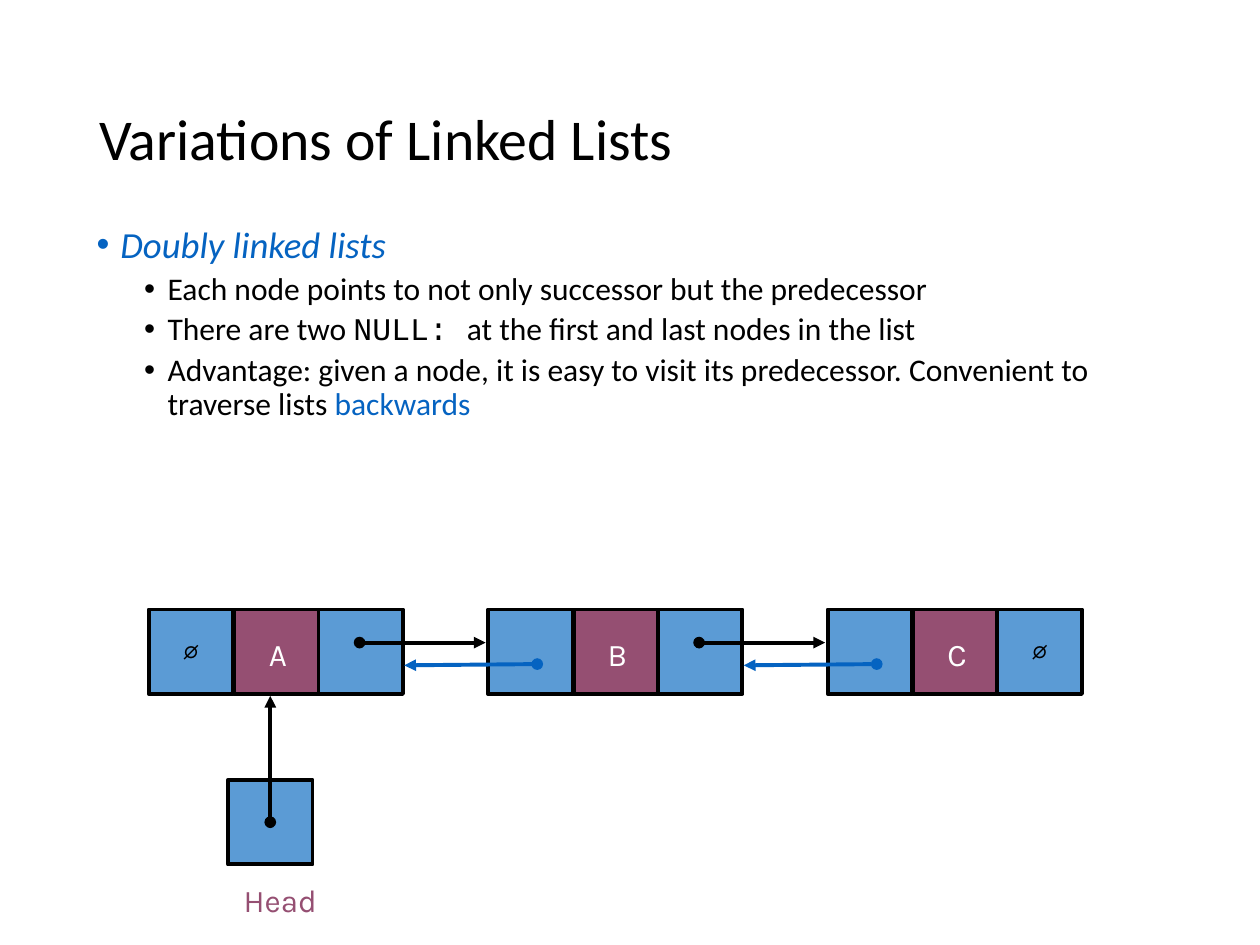
import pptx
import pptx.dml.color
import pptx.enum.shapes
import pptx.enum.text
import pptx.oxml.ns
import pptx.util
from lxml import etree

Pt = pptx.util.Pt
ALIGN = pptx.enum.text.PP_ALIGN
ANCHOR = pptx.enum.text.MSO_ANCHOR

BLACK, WHITE = "000000", "FFFFFF"
LINK_BLUE, CELL_BLUE, PLUM = "0563C1", "5B9BD5", "954F72"

TITLE = "Variations of Linked Lists"
# Each bullet: level, then spans of (text, format)
BULLETS = [
    (0, [("Doubly linked lists", {"color": LINK_BLUE, "italic": True})]),
    (1, [("Each node points to not only successor but the predecessor", {})]),
    (1, [("There are two ", {}),
         ("NULL: ", {"font": "Courier New"}),
         ("at the first and last nodes in the list", {})]),
    (1, [("Advantage: given a node, it is easy to visit its predecessor. "
          "Convenient to traverse lists ", {}),
         ("backwards", {"color": LINK_BLUE})]),
]
# Per level: font size, left margin, space before
LEVELS = [(21, 13.5, 7.5), (18, 40.5, 3.8)]
HANGING = 13.5

NODES = ["A", "B", "C"]
NULL_SIGN = "∅"
CELL = 48.3
CELL_OFFSETS = [0, 49, 97]
NODE_LEFT, NODE_TOP, NODE_PITCH = 85, 348.3, 194
NEXT_Y, PREVIOUS_Y = 367.2, 379.5
HEAD_LEFT, HEAD_TOP = 130.3, 445.7
LABEL_HEIGHT = 31

deck = pptx.Presentation()
deck.slide_width, deck.slide_height = Pt(720), Pt(540)
page = deck.slides.add_slide(deck.slide_layouts[6])


def rgb(value):
    return pptx.dml.color.RGBColor.from_string(value)


def add_span(para, text, size=18, font="Calibri", color=BLACK, italic=False):
    span = para.add_run()
    span.text = text
    span.font.size, span.font.name = Pt(size), font
    span.font.color.rgb, span.font.italic = rgb(color), italic


def add_box(left, top, width, height, wrap=True, anchor=ANCHOR.TOP):
    frame = page.shapes.add_textbox(
        Pt(left), Pt(top), Pt(width), Pt(height)).text_frame
    frame.word_wrap, frame.vertical_anchor = wrap, anchor
    return frame


def add_label(text, center, top, color):
    width = 60
    frame = add_box(center - width / 2, top, width, LABEL_HEIGHT, wrap=False)
    para = frame.paragraphs[0]
    para.alignment = ALIGN.CENTER
    add_span(para, text, font="Karla", color=color)


def add_cell(left, top, color):
    cell = page.shapes.add_shape(
        pptx.enum.shapes.MSO_SHAPE.RECTANGLE,
        Pt(left), Pt(top), Pt(CELL), Pt(CELL))
    cell.shadow.inherit = False
    cell.fill.solid()
    cell.fill.fore_color.rgb = rgb(color)
    cell.line.color.rgb, cell.line.width = rgb(BLACK), Pt(2.25)


def add_pointer(start, end, color=BLACK):
    """Draw a line with a dot at its start and an arrowhead at its end."""
    pointer = page.shapes.add_connector(
        pptx.enum.shapes.MSO_CONNECTOR.STRAIGHT,
        *(Pt(value) for value in (*start, *end)))
    pointer.line.color.rgb, pointer.line.width = rgb(color), Pt(2.25)
    qn = pptx.oxml.ns.qn
    outline = pointer.line._get_or_add_ln()
    etree.SubElement(outline, qn("a:headEnd"), type="oval")
    etree.SubElement(outline, qn("a:tailEnd"), type="triangle")
    etree.SubElement(pointer._element.spPr, qn("a:effectLst"))


def add_bullet(para, level, spans):
    size, margin, before = LEVELS[level]
    para.level, para.line_spacing, para.space_before = level, 0.9, Pt(before)
    properties = para._p.get_or_add_pPr()
    properties.set("marL", str(Pt(margin)))
    properties.set("indent", str(-Pt(HANGING)))
    qn = pptx.oxml.ns.qn
    etree.SubElement(properties, qn("a:buFont"), typeface="Arial")
    etree.SubElement(properties, qn("a:buChar"), char="•")
    for text, style in spans:
        add_span(para, text, size=size, **style)


title = add_box(49.7, 28.8, 620.6, 104.4, anchor=ANCHOR.MIDDLE).paragraphs[0]
title.line_spacing = 0.9
add_span(title, TITLE, size=33)

body = add_box(48.2, 126, 642.2, 210.2)
for index, (level, spans) in enumerate(BULLETS):
    para = body.add_paragraph() if index else body.paragraphs[0]
    add_bullet(para, level, spans)

lefts = [NODE_LEFT + index * NODE_PITCH for index in range(len(NODES))]
for name, left in zip(NODES, lefts):
    for offset, color in zip(CELL_OFFSETS, [CELL_BLUE, PLUM, CELL_BLUE]):
        add_cell(left + offset, NODE_TOP, color)
    add_label(name, left + CELL_OFFSETS[1] + CELL / 2 + 0.7, NODE_TOP + 10.8, WHITE)

for left in (lefts[0], lefts[-1] + CELL_OFFSETS[2]):
    add_label(NULL_SIGN, left + CELL / 2, NODE_TOP + 8, BLACK)

for left, following in zip(lefts, lefts[1:]):
    add_pointer((left + 120.5, NEXT_Y), (left + 192.5, NEXT_Y))
    add_pointer((following + 28, PREVIOUS_Y), (left + 146, PREVIOUS_Y + 0.7), LINK_BLUE)

add_cell(HEAD_LEFT, HEAD_TOP, CELL_BLUE)
head_x = HEAD_LEFT + CELL / 2
add_pointer((head_x, HEAD_TOP + CELL / 2), (head_x, NODE_TOP + CELL + 1))
add_label("Head", head_x + 5.7, 499.7, PLUM)

deck.save("out.pptx")
